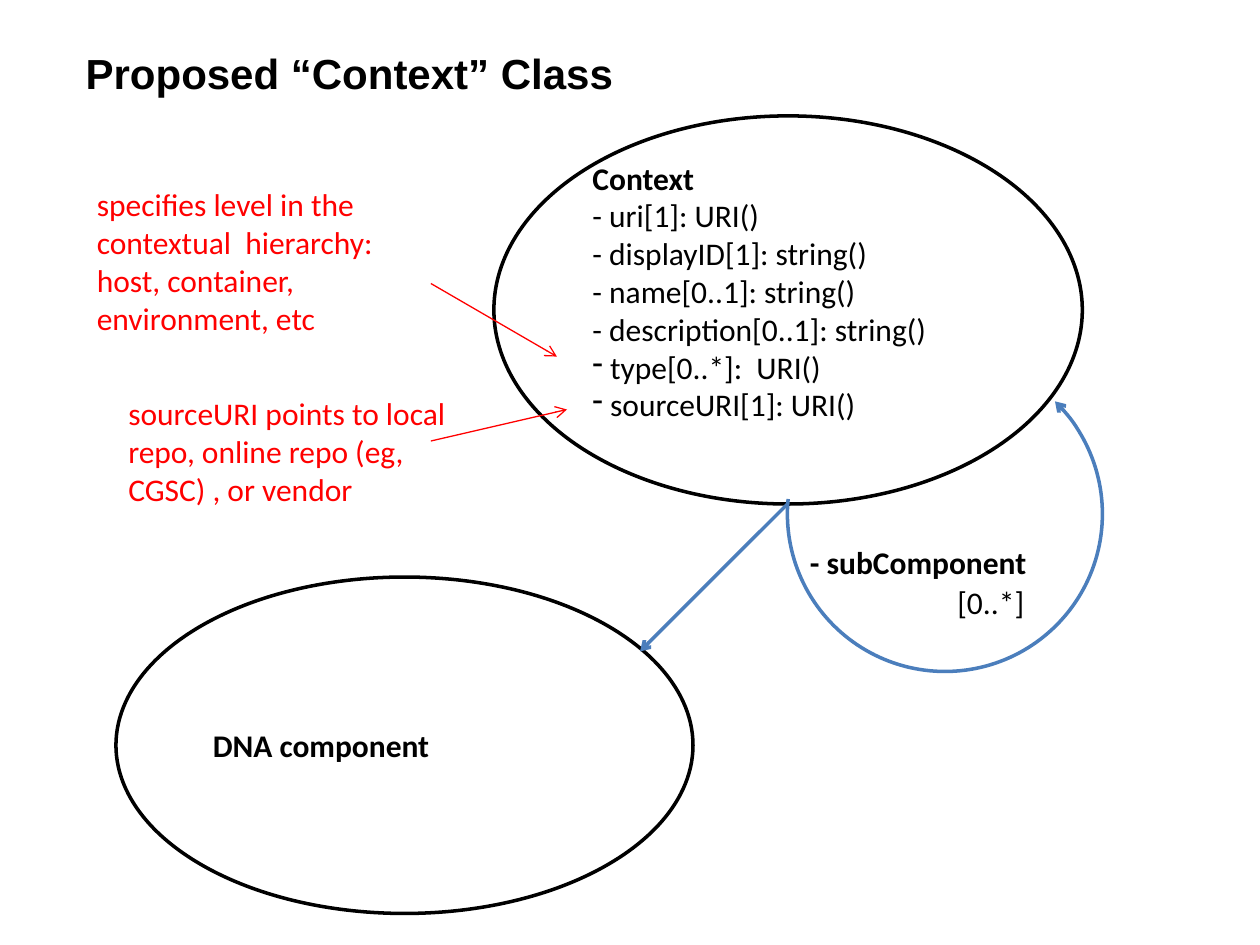
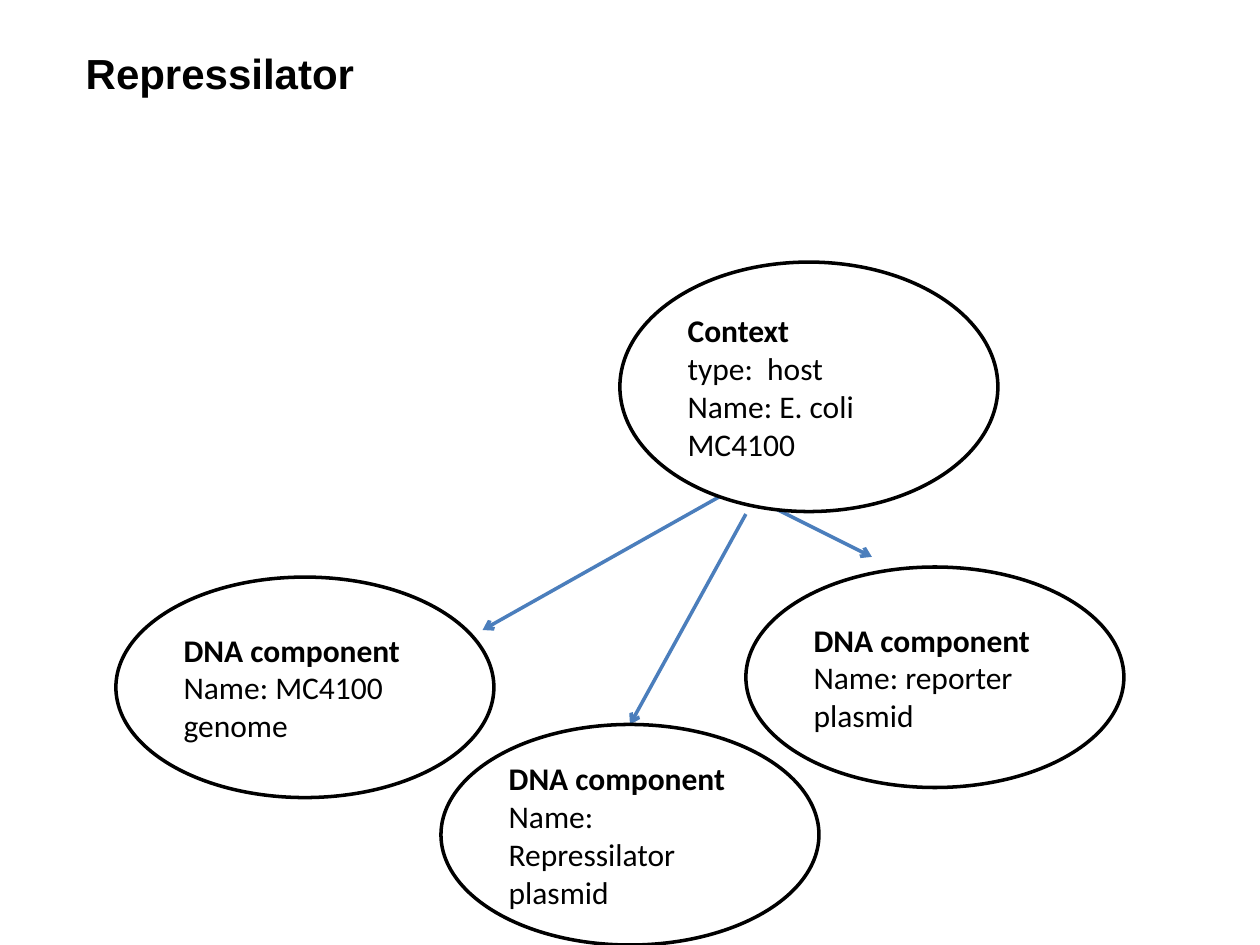
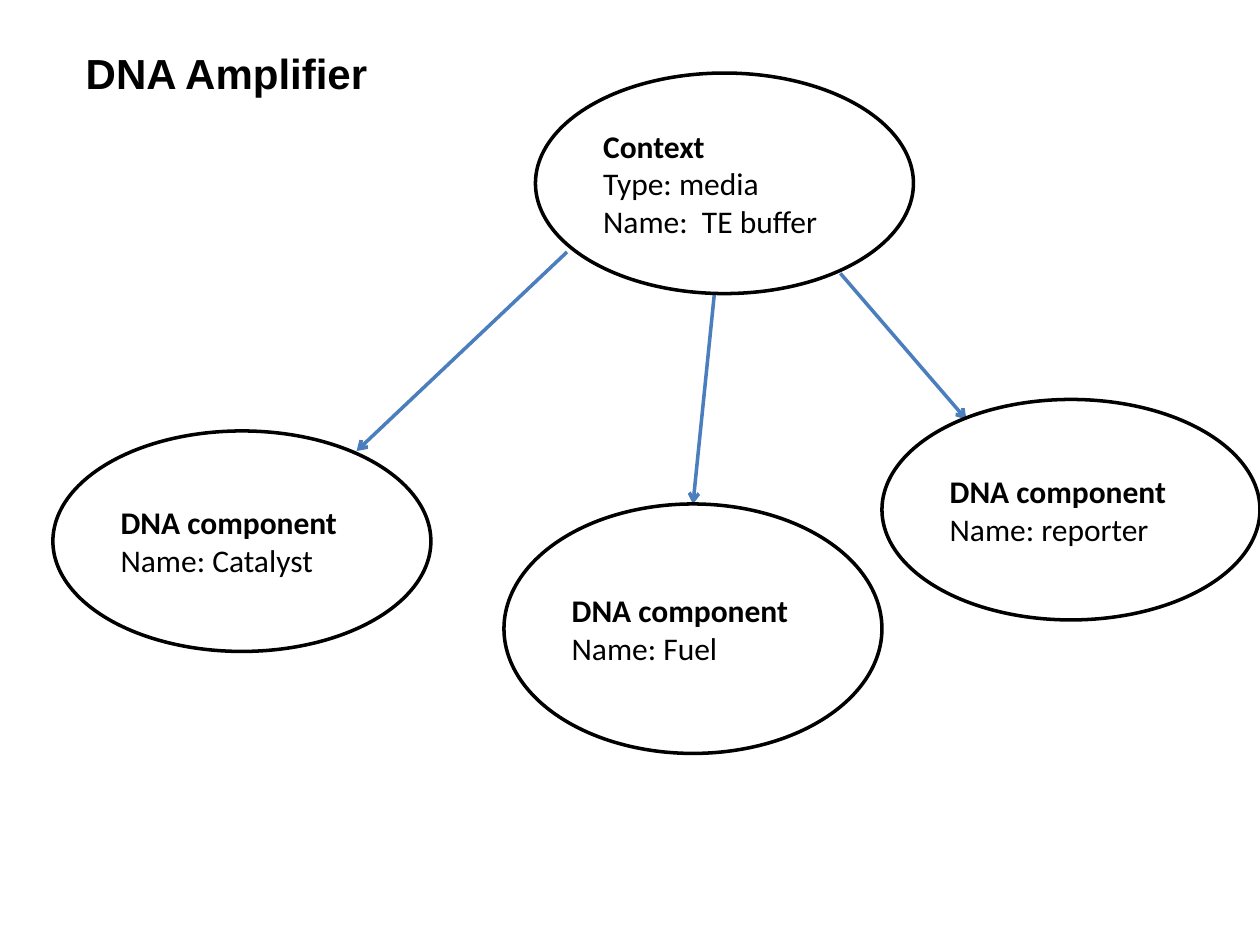
import pptx
import pptx.dml.color
import pptx.enum.shapes
import pptx.enum.text
import pptx.oxml.ns
import pptx.util
from lxml import etree

Inches = pptx.util.Inches
Shape = pptx.enum.shapes.MSO_SHAPE
Anchor = pptx.enum.text.MSO_ANCHOR
Align = pptx.enum.text.PP_ALIGN
qn = pptx.oxml.ns.qn

BLACK, WHITE, RED, BLUE = "000000", "FFFFFF", "FF0000", "4B7EBC"
TITLE_FONT, BODY_FONT = "Arial", "Calibri"
TITLE_BOX = (0.58, 0.33, 8.33, 0.5)
NODE_WIDTH, NODE_HEIGHT, TALL_HEIGHT = 3, 1.75, 1.98
LINE_HEIGHT = 0.3
DASH_INDENT = 0.14


def color(hex_code):
    """Turn a hex string into a colour."""
    return pptx.dml.color.RGBColor.from_string(hex_code)


def style(paragraph, font_name, size, hex_code, bold=False):
    """Left-align a paragraph and format its runs."""
    paragraph.alignment = Align.LEFT
    for run in paragraph.runs:
        run.font.name = font_name
        run.font.size = pptx.util.Pt(size)
        run.font.bold = bold
        run.font.color.rgb = color(hex_code)


def add_dash(paragraph):
    """Give a paragraph a hanging dash bullet."""
    properties = paragraph._p.get_or_add_pPr()
    properties.set("marL", str(Inches(DASH_INDENT)))
    properties.set("indent", str(-Inches(DASH_INDENT)))
    etree.SubElement(properties, qn("a:buFontTx"))
    etree.SubElement(properties, qn("a:buChar")).set("char", "-")


def add_titled_slide(deck, title):
    """Add a slide with the shared title style."""
    slide = deck.slides.add_slide(deck.slide_layouts[5])
    heading = slide.shapes.title
    heading.left, heading.top, heading.width, heading.height = map(Inches, TITLE_BOX)
    frame = heading.text_frame
    frame.text = title
    frame.vertical_anchor = Anchor.TOP
    frame.auto_size = pptx.enum.text.MSO_AUTO_SIZE.NONE
    style(frame.paragraphs[0], TITLE_FONT, 24, BLACK, True)
    return slide


def add_node(slide, box, heading, details=(), dashed=(), filled=False):
    """Draw an outlined ellipse with a bold heading and its detail lines."""
    node = slide.shapes.add_shape(Shape.OVAL, *map(Inches, box))
    node.shadow.inherit = False
    if filled:
        node.fill.solid()
        node.fill.fore_color.rgb = color(WHITE)
    else:
        node.fill.background()
    node.line.color.rgb = color(BLACK)
    node.line.width = pptx.util.Pt(2)
    frame = node.text_frame
    frame.word_wrap = True
    frame.vertical_anchor = Anchor.MIDDLE
    frame.text = "\n".join([heading, *details, *dashed])
    first_dashed = 1 + len(details)
    for index, paragraph in enumerate(frame.paragraphs):
        if index >= first_dashed:
            add_dash(paragraph)
        style(paragraph, BODY_FONT, 18, BLACK, index == 0)
    return node


def add_label(slide, box, text, hex_code=BLACK, bold=False, wrap=True):
    """Place a free text label."""
    frame = slide.shapes.add_textbox(*map(Inches, box)).text_frame
    frame.word_wrap = wrap
    frame.text = text
    style(frame.paragraphs[0], BODY_FONT, 18, hex_code, bold)


def set_arrow(stroke, end, hex_code, width):
    """Colour a line and put an open arrowhead at one end."""
    stroke.line.color.rgb = color(hex_code)
    stroke.line.width = pptx.util.Pt(width)
    etree.SubElement(stroke.line._get_or_add_ln(), qn(end)).set("type", "arrow")


def add_arrow(slide, start, finish, hex_code=BLUE, width=2):
    """Draw a straight arrow between two points."""
    arrow = slide.shapes.add_connector(
        pptx.enum.shapes.MSO_CONNECTOR.STRAIGHT, *map(Inches, start + finish))
    set_arrow(arrow, "a:tailEnd", hex_code, width)
    etree.SubElement(arrow._element.spPr, qn("a:effectLst"))


def add_self_loop(slide, box):
    """Draw the arc that leads from a class back to itself."""
    loop = slide.shapes.add_shape(Shape.ARC, *map(Inches, box))
    loop.shadow.inherit = False
    loop.fill.background()
    loop.adjustments[0], loop.adjustments[1] = 188.6, 111.27
    set_arrow(loop, "a:headEnd", BLUE, 2)


def build_class_slide(deck):
    """Show the proposed class, its notes and its relations."""
    slide = add_titled_slide(deck, "Proposed “Context” Class")
    add_label(slide, (6.33, 4.26, 1.93, 0.4), "- subComponent", bold=True, wrap=False)
    add_label(slide, (7.5, 4.58, 0.74, 0.4), "[0..*]", wrap=False)
    add_label(slide, (0.92, 3.08, 3, 1.31),
              "sourceURI points to local repo, online repo (eg,  CGSC) , or vendor", RED)
    add_label(slide, (0.67, 1.42, 3, 1.31),
              "specifies level in the contextual  hierarchy:  host, container, environment, etc", RED)
    context = add_node(
        slide, (3.92, 0.92, 4.67, 3.08), "Context",
        ["- uri[1]: URI()", "- displayID[1]: string()", "- name[0..1]: string()",
         "- description[0..1]: string()"],
        ["type[0..*]:  URI()", "sourceURI[1]: URI()"], filled=True)
    context.text_frame.margin_bottom = Inches(0.05 + LINE_HEIGHT)
    add_node(slide, (0.92, 4.58, 4.58, 2.67), "DNA component")
    add_arrow(slide, (6.25, 4), (5.08, 5.17))
    add_self_loop(slide, (6.25, 2.83, 2.5, 2.5))
    add_arrow(slide, (3.42, 3.5), (4.5, 3.25), RED, 0.75)
    add_arrow(slide, (3.42, 2.25), (4.42, 2.83), RED, 0.75)


def build_example_slide(deck, title, arrows, nodes):
    """Show a context with arrows to its DNA components."""
    slide = add_titled_slide(deck, title)
    for start, finish in arrows:
        add_arrow(slide, start, finish)
    for left, top, height, heading, details in nodes:
        add_node(slide, (left, top, NODE_WIDTH, height), heading, details,
                 filled=height == TALL_HEIGHT)


def main():
    """Build the deck and save it."""
    deck = pptx.Presentation()
    deck.slide_width, deck.slide_height = Inches(10), Inches(7.5)
    build_class_slide(deck)
    build_example_slide(
        deck, "Repressilator",
        [((5.75, 3.92), (3.83, 5)), ((5.92, 4.08), (5, 5.75)), ((6.08, 4), (6.92, 4.42))],
        [(0.92, 4.58, NODE_HEIGHT, "DNA component", ["Name: MC4100 genome"]),
         (3.5, 5.75, NODE_HEIGHT, "DNA component", ["Name: Repressilator plasmid"]),
         (5.92, 4.5, NODE_HEIGHT, "DNA component", ["Name: reporter plasmid"]),
         (4.92, 2.08, TALL_HEIGHT, "Context", ["type:  host", "Name: E. coli MC4100"])])
    build_example_slide(
        deck, "DNA Amplifier",
        [((4.5, 2), (2.83, 3.58)), ((5.67, 2.33), (5.5, 4)), ((6.67, 2.17), (7.67, 3.33))],
        [(0.42, 3.42, NODE_HEIGHT, "DNA component", ["Name: Catalyst"]),
         (4.25, 0.58, NODE_HEIGHT, "Context", ["Type: media", "Name:  TE buffer"]),
         (4, 4, TALL_HEIGHT, "DNA component", ["Name: Fuel"]),
         (7, 3.17, NODE_HEIGHT, "DNA component", ["Name: reporter"])])
    deck.save("out.pptx")


if __name__ == "__main__":
    main()
